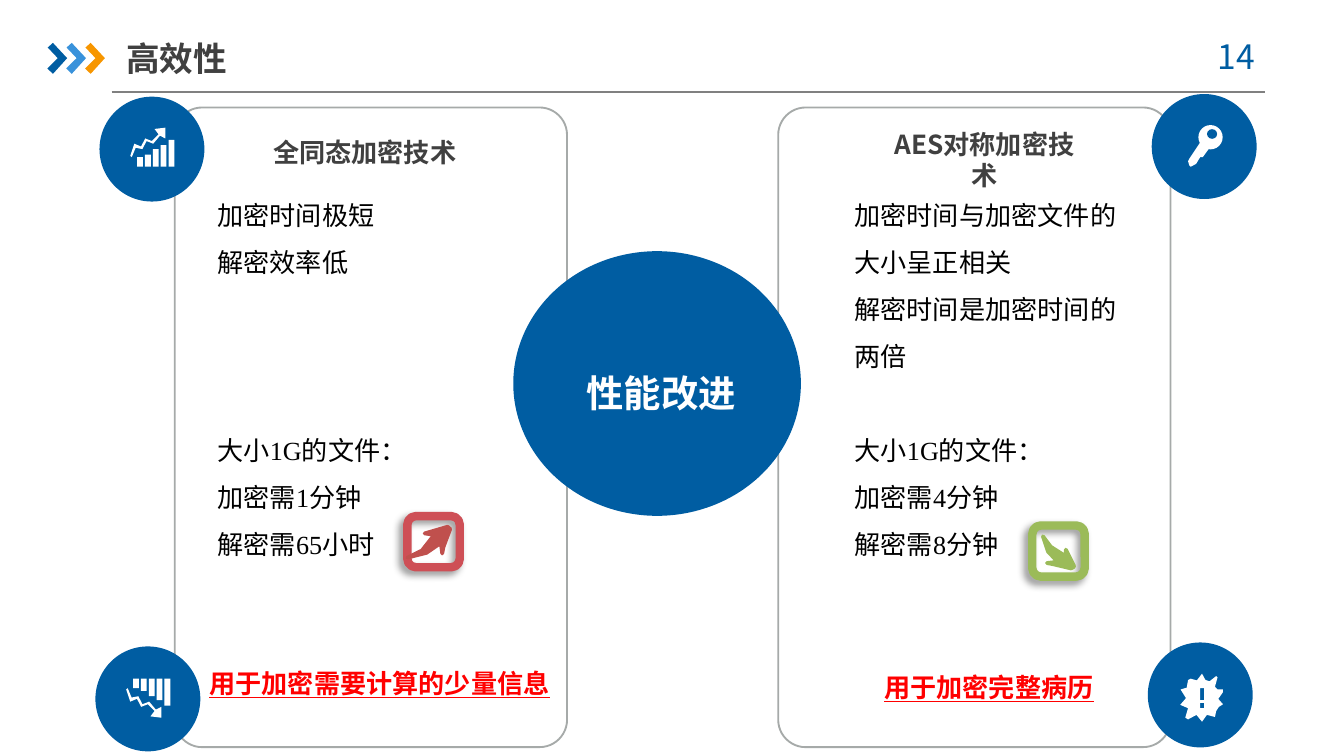
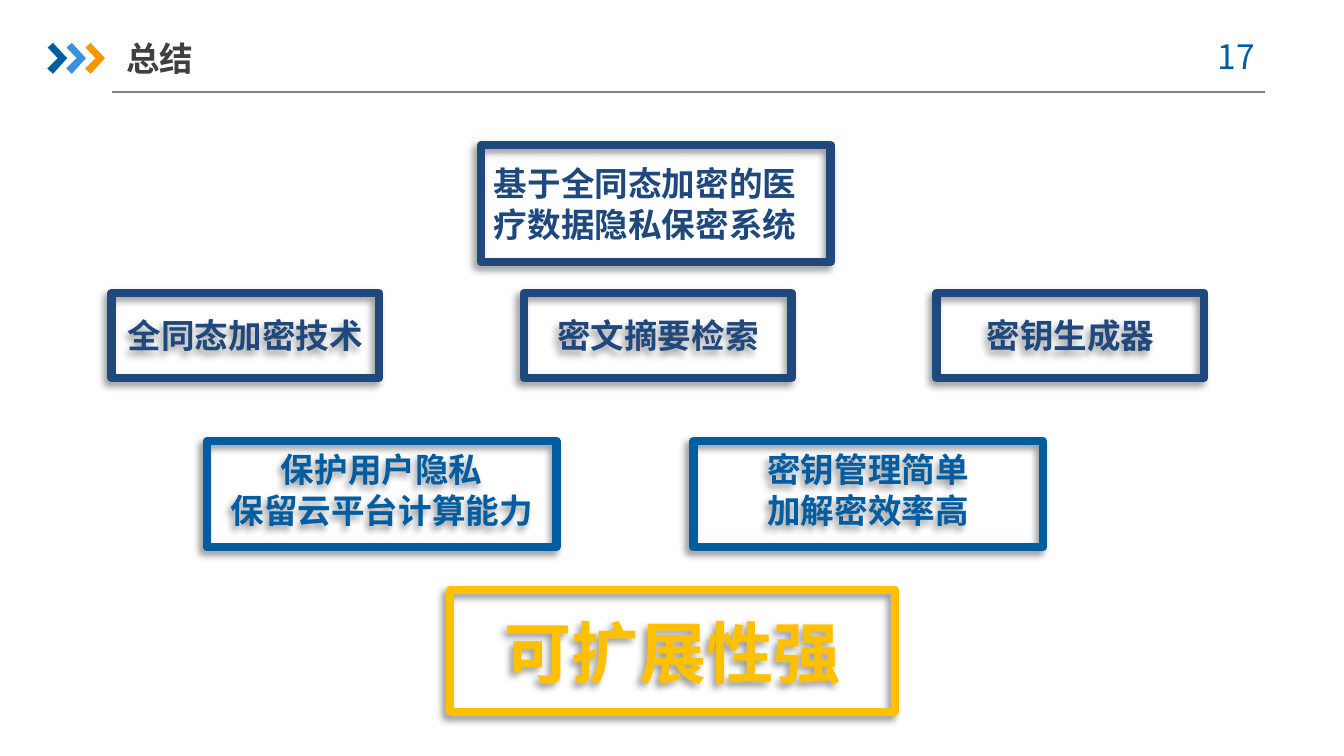
import lxml.etree
import pptx
import pptx.dml.color
import pptx.enum.shapes
import pptx.enum.text
import pptx.oxml.ns
import pptx.util

Pt = pptx.util.Pt
RGB = pptx.dml.color.RGBColor.from_string
KIND = pptx.enum.shapes.MSO_SHAPE
ALIGN = pptx.enum.text.PP_ALIGN
MID = pptx.enum.text.MSO_ANCHOR.MIDDLE
qn = pptx.oxml.ns.qn

HUE = {
    "blue": "005DA2", "sky": "3992DB", "orange": "F79600", "navy": "1F497D",
    "gold": "FFC000", "red": "FF0000", "rose": "CE4F56", "brick": "C0504D",
    "green": "9BBB59", "dark": "404040", "gray": "808080", "edge": "A6AAA9",
    "white": "FFFFFF", "black": "000000",
}
SANS = "Noto Sans CJK SC"
SERIF = "Times New Roman"


def write(shape, lines, size, hue, bold=True, align=ALIGN.LEFT, lead=None,
          pad=(7.2, 3.6, 7.2, 3.6), wrap=True, under=None):
    """Fill a shape with lines of (text, font, space before)."""
    frame = shape.text_frame
    frame.word_wrap = wrap
    frame.margin_left, frame.margin_top, frame.margin_right, frame.margin_bottom = map(Pt, pad)
    for i, (text, face, gap) in enumerate(lines):
        para = frame.add_paragraph() if i else frame.paragraphs[0]
        para.alignment = align
        para.space_before = Pt(gap)
        if lead:
            para.line_spacing = Pt(lead)
        run = para.add_run()
        run.text = text
        font = run.font
        font.size, font.bold, font.underline, font.name = Pt(size), bold, under, face
        font.color.rgb = RGB(HUE[hue])
        east = lxml.etree.SubElement(run._r.get_or_add_rPr(), qn("a:ea"))
        east.set("typeface", SANS)


def draw(slide, loops, hue, edge=None):
    """Draw one filled outline made of closed loops of points."""
    pen = None
    for loop in loops:
        dots = [(Pt(x), Pt(y)) for x, y in loop]
        if pen is None:
            pen = slide.shapes.build_freeform(*dots[0], scale=1.0)
        else:
            pen.move_to(*dots[0])
        pen.add_line_segments(dots[1:], close=True)
    shape = pen.convert_to_shape()
    shape.shadow.inherit = False
    shape.fill.solid()
    shape.fill.fore_color.rgb = RGB(HUE[hue])
    if edge:
        shape.line.color.rgb = RGB(HUE[hue])
        shape.line.width = Pt(edge)
    else:
        shape.line.fill.background()


deck = pptx.Presentation()
deck.slide_width, deck.slide_height = Pt(720), Pt(405)

# Shared head: title, rule, chevrons, page number
pages = []
for head, num in (("高效性", "14"), ("总结", "17")):
    slide = deck.slides.add_slide(deck.slide_layouts[5])
    pages.append(slide)
    title = slide.shapes.title
    title.left, title.top, title.width, title.height = Pt(67.7), Pt(15.8), Pt(168), Pt(30.2)
    title.text_frame.vertical_anchor = MID
    write(title, [(head, SANS, 0)], 18, "dark", pad=(0, 3.6, 0, 3.6))

    rule = slide.shapes.add_connector(
        pptx.enum.shapes.MSO_CONNECTOR.STRAIGHT, Pt(59.8), Pt(49.3), Pt(677.5), Pt(49.3))
    rule.line.color.rgb = RGB(HUE["gray"])
    rule.line.width = Pt(0.75)
    lxml.etree.SubElement(rule._element.spPr, qn("a:effectLst"))

    chev = [(25.6, 25.5), (28.4, 23), (36, 31.2), (28.4, 39.6), (25.4, 36.7), (31, 31.2)]
    for i, hue in enumerate(("blue", "sky", "orange")):
        draw(slide, [[(x + 10.1 * i, y) for x, y in chev]], hue)

    page = slide.shapes.add_textbox(Pt(636), Pt(15.5), Pt(52.6), Pt(29))
    write(page, [(num, SANS, 0)], 18, "blue", bold=False, align=ALIGN.CENTER)

perf, recap = pages

# Two rounded panels
for left in (416.9, 93.6):
    panel = perf.shapes.add_shape(KIND.ROUNDED_RECTANGLE, Pt(left), Pt(57.6), Pt(210.2), Pt(342.7))
    panel.adjustments[0] = 0.07
    panel.shadow.inherit = False
    panel.fill.background()
    panel.line.color.rgb = RGB(HUE["edge"])
    panel.line.width = Pt(1)

# Hub, corner discs and key head with its hole
for left, top, wide, high, hue in (
    (275, 134.6, 154.1, 141.8, "blue"),
    (53.3, 51.8, 56.2, 56.2, "blue"),
    (51.1, 346.3, 56.2, 56.2, "blue"),
    (614.9, 344.2, 56.2, 56.2, "blue"),
    (617, 50.4, 56.2, 56.2, "blue"),
    (642, 67, 13, 13, "white"),
    (646.6, 69.2, 5.4, 5.2, "blue"),
):
    disc = perf.shapes.add_shape(KIND.OVAL, Pt(left), Pt(top), Pt(wide), Pt(high))
    disc.shadow.inherit = False
    disc.fill.solid()
    disc.fill.fore_color.rgb = RGB(HUE[hue])
    disc.line.fill.background()

# Chart icon, and the same one flipped below
trend = [[(78.5, 75.6), (82.1, 77), (85.7, 72.7), (88.6, 74.2), (88.6, 68.4),
          (82.8, 69.1), (85, 72), (81.4, 75.6), (77.8, 74.2), (75.6, 78.5),
          (72, 77), (69.8, 83.5), (70.6, 84.2), (72.7, 79.2), (76.3, 79.9)]]
for i, top in enumerate((84.2, 82.8, 79.9, 77.8, 74.9)):
    left = 73.5 + 4.2 * i
    trend.append([(left, top), (left + 3.1, top), (left + 3.1, 89.3), (left, 89.3)])
draw(perf, trend, "white")
draw(perf, [[(x - 2.2, 452.9 - y) for x, y in loop] for loop in trend], "white")

# Key shaft
draw(perf, [[(643, 76.3), (637.2, 85), (636.5, 86.4), (637.2, 88.6), (637.9, 89.3),
             (640.8, 87.8), (643, 84.2), (644.4, 84.2), (648, 79.2)]], "white")

# Alert badge with a cut-out mark
badge = [[(655.2, 377.3), (652.7, 374.4), (655.2, 370.8), (655.2, 369.4), (652.3, 369.4),
          (650.9, 367.9), (652.3, 362.9), (651.6, 362.2), (648, 365), (645.8, 364.3),
          (644, 360.9), (641.2, 364.5), (637.9, 363.6), (636.5, 364.3), (635.8, 368.4),
          (632.5, 369.4), (635.4, 374), (632.3, 377.6), (636.5, 379.4), (635, 384.5),
          (636.5, 385.4), (641, 383), (644, 386.6), (646.6, 383), (650.9, 384.1),
          (651.6, 380.9), (653, 378.7)]]
for top, base in ((368.6, 375.1), (376.6, 379.4)):
    badge.append([(643, top), (643, base), (645.1, base), (645.1, top)])
draw(perf, badge, "white")

# Labels of the first slide
for left, top, wide, high, text, size, hue, align in (
    (146.3, 69.5, 108, 23.8, "全同态加密技术", 14, "dark", ALIGN.LEFT),
    (472.3, 73.7, 110.2, 23.8, "AES对称加密技术", 14, "dark", ALIGN.CENTER),
    (308.9, 191.5, 90.7, 37.4, "性能改进", 20, "white", ALIGN.CENTER),
):
    label = perf.shapes.add_textbox(Pt(left), Pt(top), Pt(wide), Pt(high))
    label.text_frame.vertical_anchor = MID
    write(label, [(text, SANS, 0)], size, hue, align=align, lead=size * 1.2, pad=(0, 0, 0, 0))

# Body texts
for left, wide, lines in (
    (109.4, 183.6, [
        ("加密时间极短", SERIF, 0), ("解密效率低", SERIF, 0),
        ("大小1G的文件：", SERIF, 75.6), ("加密需1分钟", SERIF, 0), ("解密需65小时", SERIF, 0)]),
    (450.7, 167.8, [
        ("加密时间与加密文件的大小呈正相关", "Calibri", 0),
        ("解密时间是加密时间的两倍", "Calibri", 0),
        ("大小1G的文件：", SERIF, 25.2), ("加密需4分钟", SERIF, 0), ("解密需8分钟", SERIF, 0)]),
):
    body = perf.shapes.add_textbox(Pt(left), Pt(95), Pt(wide), Pt(231))
    write(body, lines, 14, "black", bold=False, lead=25.2)

# Red uses
for left, top, wide, text in (
    (105.1, 354, 199.4, "用于加密需要计算的少量信息"),
    (466.6, 356, 127.4, "用于加密完整病历"),
):
    use = perf.shapes.add_textbox(Pt(left), Pt(top), Pt(wide), Pt(24.5))
    write(use, [(text, SANS, 0)], 14, "red", wrap=False, under=True)

# Framed boxes with a soft shadow, on both slides
ICON, RECT = KIND.FLOWCHART_ALTERNATE_PROCESS, KIND.RECTANGLE
for slide, kind, left, top, wide, high, hue, size, texts in (
    (perf, ICON, 218.2, 276.5, 28.1, 27.4, "rose", 0, ()),
    (perf, ICON, 553, 281.5, 28.1, 27.4, "green", 0, ()),
    (recap, RECT, 257.8, 77.8, 187.2, 62.6, "navy", 0, ()),
    (recap, RECT, 59.8, 157, 143.3, 45.4, "navy", 18, ("全同态加密技术",)),
    (recap, RECT, 280.8, 157, 143.3, 45.4, "navy", 18, ("密文摘要检索",)),
    (recap, RECT, 501.8, 157, 143.3, 45.4, "navy", 18, ("密钥生成器",)),
    (recap, RECT, 110.9, 236.2, 187.2, 56.9, "blue", 18, ("保护用户隐私", "保留云平台计算能力")),
    (recap, RECT, 371.5, 236.2, 187.2, 56.9, "blue", 18, ("密钥管理简单", "加解密效率高")),
    (recap, RECT, 241.2, 316.1, 238.3, 65.5, "gold", 36, ("可扩展性强",)),
):
    box = slide.shapes.add_shape(kind, Pt(left), Pt(top), Pt(wide), Pt(high))
    box.fill.background()
    box.line.color.rgb = RGB(HUE[hue])
    box.line.width = Pt(4.5)
    box.shadow.inherit = False
    glow = lxml.etree.SubElement(
        box._element.spPr.find(qn("a:effectLst")), qn("a:outerShdw"),
        blurRad=str(Pt(4)), dist=str(Pt(3)), dir="8100000", algn="tr", rotWithShape="0")
    tone = lxml.etree.SubElement(glow, qn("a:srgbClr"), val=HUE["black"])
    lxml.etree.SubElement(tone, qn("a:alpha"), val="40000")
    if texts:
        pair = len(texts) > 1
        box.text_frame.vertical_anchor = MID
        write(box, [(text, SANS, 0) for text in texts], size, hue, align=ALIGN.CENTER,
              lead=22 if pair else None, pad=(7.2, 0, 7.2, 5 if pair else 0))

# Trend arrows inside the icon frames
draw(perf, [[(239.8, 282.2), (241.2, 283.5), (237.6, 293), (236.9, 296.6), (236.2, 290.9),
             (228.5, 296.2), (218.2, 298.8), (226, 295), (232.6, 286.6), (227.5, 285.8)]],
     "brick", 2)
draw(perf, [[(575.3, 303.8), (573.8, 304.6), (564.5, 302.4), (560.9, 301.7), (566.6, 301),
             (561.4, 295.5), (558.7, 287.3), (563, 293), (571, 298.1), (571, 294.5),
             (575.3, 303.1)]], "green", 2)

# Top claim of the second slide
claim = recap.shapes.add_textbox(Pt(252), Pt(83.5), Pt(187.2), Pt(51.1))
write(claim, [("基于全同态加密的医疗数据隐私保密系统", SANS, 0)], 18, "navy",
      align=ALIGN.CENTER, lead=22)

deck.save("out.pptx")
